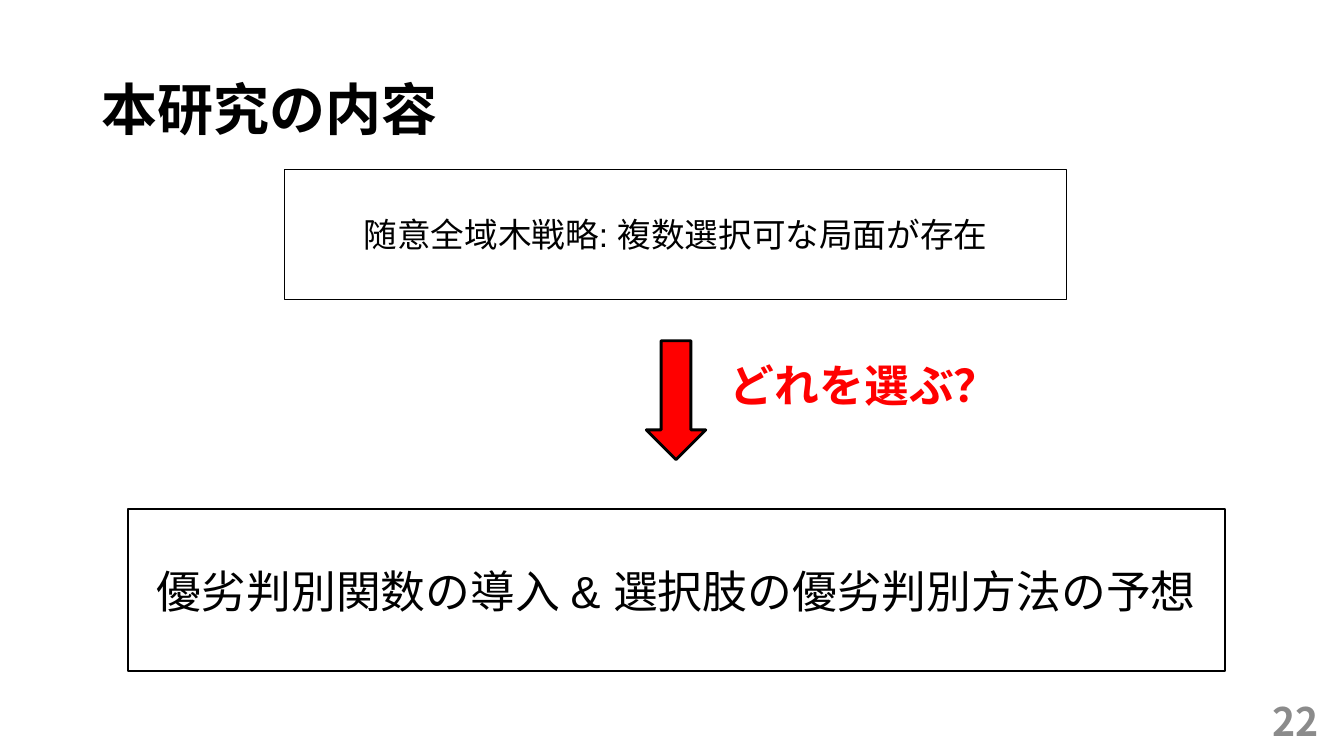
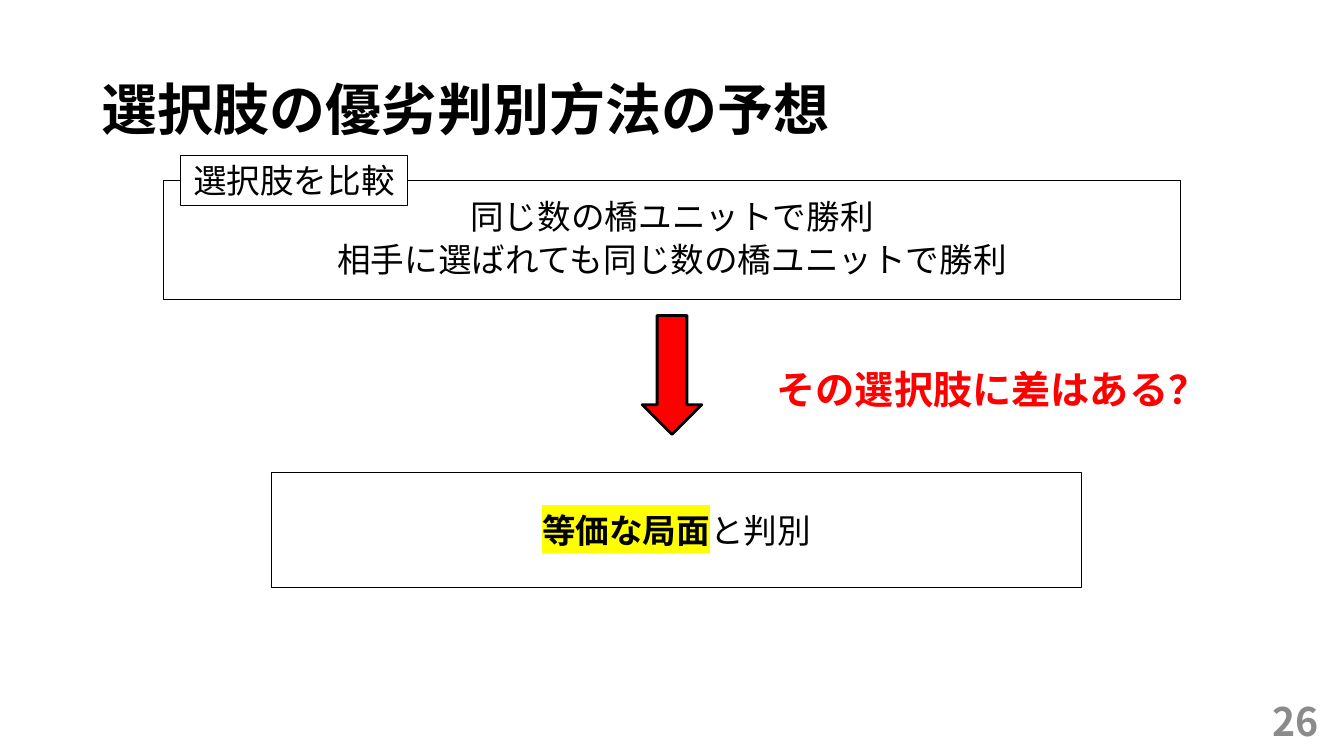
from lxml import etree
from pptx import Presentation
from pptx.dml.color import RGBColor
from pptx.enum.shapes import MSO_SHAPE as Preset
from pptx.enum.text import MSO_ANCHOR as Anchor, PP_ALIGN as Align
from pptx.oxml.ns import qn
from pptx.util import Inches, Pt

BLACK = RGBColor(0x00, 0x00, 0x00)
WHITE = RGBColor(0xFF, 0xFF, 0xFF)
RED = RGBColor(0xFF, 0x00, 0x00)
GRAY = RGBColor(0x8B, 0x8B, 0x8B)
YELLOW = RGBColor(0xFF, 0xFF, 0x00)
GOTHIC = "Noto Sans CJK JP"


def add_text(shape, paragraphs, size, color=BLACK, latin=GOTHIC, bold=False,
             align=Align.CENTER, line_spacing=None, gap=0):
    """Each paragraph is a list of (text, highlight) runs; highlighted runs are bold."""
    frame = shape.text_frame
    frame.word_wrap = True
    frame.vertical_anchor = Anchor.MIDDLE
    for index, runs in enumerate(paragraphs):
        paragraph = frame.add_paragraph() if index else frame.paragraphs[0]
        paragraph.alignment = align
        if line_spacing:
            paragraph.line_spacing = line_spacing
        if index:
            paragraph.space_before = Pt(gap)
        for text, highlight in runs:
            run = paragraph.add_run()
            run.text = text
            font = run.font
            font.size = Pt(size)
            font.bold = bold or highlight is not None
            font.color.rgb = color
            properties = run._r.get_or_add_rPr()
            if highlight is not None:
                mark = etree.SubElement(properties, qn("a:highlight"))
                etree.SubElement(mark, qn("a:srgbClr"), val=str(highlight))
            font.name = latin
            etree.SubElement(properties, qn("a:ea"), typeface=GOTHIC)


def add_preset(slide, preset, area, line_width, fill=None):
    shape = slide.shapes.add_shape(preset, *map(Inches, area))
    shape.shadow.inherit = False
    if fill is None:
        shape.fill.background()
    else:
        shape.fill.solid()
        shape.fill.fore_color.rgb = fill
    shape.line.color.rgb = BLACK
    shape.line.width = Pt(line_width)
    return shape


presentation = Presentation()
presentation.slide_width = Inches(13.33)
presentation.slide_height = Inches(7.5)

# Boxes: area, line width, fill, text size, latin font, paragraphs of runs
pages = [
    {
        "title": "本研究の内容",
        "number": "22",
        "arrow": (6.41, 3.38),
        "question": ("どれを選ぶ？", (7.14, 3.5, 4.88, 0.64), 32, Align.LEFT),
        "boxes": [
            ((2.82, 1.68, 7.76, 1.29), 0.75, None, 24, "Arial",
             [[("随意全域木戦略: 複数選択可な局面が存在", None)]]),
            ((1.27, 5.05, 10.88, 1.61), 1.5, None, 32, "Arial",
             [[("優劣判別関数の導入 & 選択肢の優劣判別方法の予想", None)]]),
        ],
    },
    {
        "title": "選択肢の優劣判別方法の予想",
        "number": "26",
        "arrow": (6.37, 3.13),
        "question": ("その選択肢に差はある？", (6.96, 3.57, 5.76, 0.57), 28, Align.CENTER),
        "boxes": [
            ((1.62, 1.79, 10.09, 1.18), 0.75, None, 24, GOTHIC,
             [[("同じ数の橋ユニットで勝利", None)],
              [("相手に選ばれても同じ数の橋ユニットで勝利", None)]]),
            ((2.69, 4.69, 8.04, 1.14), 0.75, None, 24, "Arial",
             [[("等価な局面", YELLOW), ("と判別", None)]]),
            ((1.79, 1.54, 2.25, 0.5), 0.75, WHITE, 24, "Arial",
             [[("選択肢を比較", None)]]),
        ],
    },
]

for page in pages:
    slide = presentation.slides.add_slide(presentation.slide_layouts[6])

    # Title, question beside the arrow, and page number
    question, question_area, question_size, question_align = page["question"]
    texts = [
        (page["title"], (0.91, 0.39, 11.5, 1.45), 40, BLACK, Align.LEFT, 0.9),
        (question, question_area, question_size, RED, question_align, None),
        (page["number"], (10.18, 6.95, 3, 0.4), 28, GRAY, Align.RIGHT, None),
    ]
    for text, area, size, color, align, spacing in texts:
        textbox = slide.shapes.add_textbox(*map(Inches, area))
        add_text(textbox, [[(text, None)]], size, color, bold=True,
                 align=align, line_spacing=spacing)

    # Framed statements
    for area, line_width, fill, size, latin, paragraphs in page["boxes"]:
        box = add_preset(slide, Preset.RECTANGLE, area, line_width, fill)
        add_text(box, paragraphs, size, latin=latin, gap=4.5,
                 line_spacing=0.9 if len(paragraphs) > 1 else None)

    # Arrow from premise to conclusion
    add_preset(slide, Preset.DOWN_ARROW, (*page["arrow"], 0.59, 1.18), 2, RED)

presentation.save("out.pptx")
